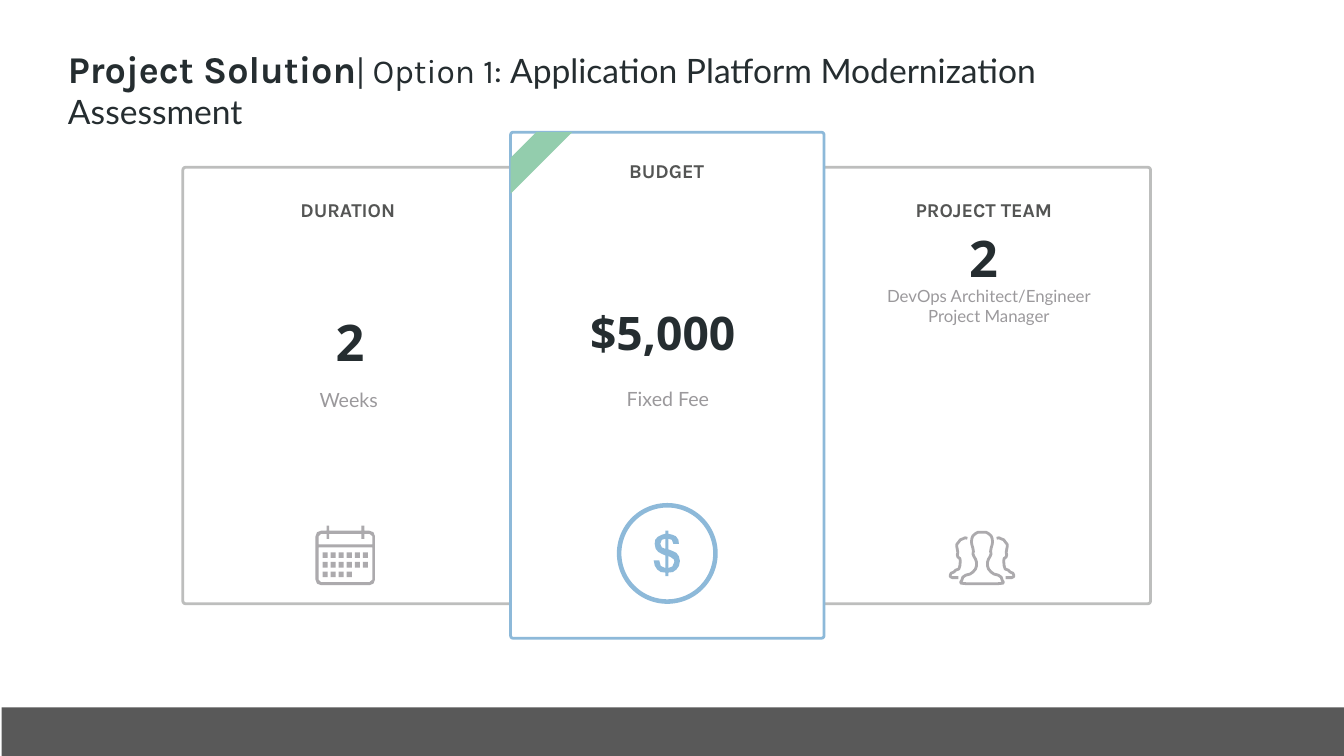
from dataclasses import dataclass

import pptx
import pptx.dml.color
import pptx.enum.shapes
import pptx.enum.text
import pptx.util

Pt = pptx.util.Pt
MSO = pptx.enum.shapes.MSO_SHAPE
ANCHOR = pptx.enum.text.MSO_ANCHOR
ALIGN = pptx.enum.text.PP_ALIGN

GRAY, BLUE, ICON, DARK = "BDBEBD", "8DB9D9", "ACAAAD", "252D30"
HEADING, CAPTION = "545554", "9B999C"
UNIT = 0.72  # icon outlines are drawn on a grid of 0.72 pt


@dataclass
class Card:
    x: float
    y: float
    w: float
    h: float
    line: str
    fill: str | None = None


@dataclass
class Label:
    text: str
    x: float
    y: float
    w: float
    h: float
    size: float
    font: str
    color: str
    bold: bool = False
    inset: tuple[float, float] = (7.2, 3.6)
    spacing: float = 1.0
    anchor: ANCHOR = ANCHOR.TOP


def rgb(value: str) -> pptx.dml.color.RGBColor:
    return pptx.dml.color.RGBColor.from_string(value)


def paint(sp, fill: str | None = None, line: str | None = None, width: float = 4) -> None:
    sp.shadow.inherit = False
    if fill:
        sp.fill.solid()
        sp.fill.fore_color.rgb = rgb(fill)
    else:
        sp.fill.background()
    if line:
        sp.line.color.rgb = rgb(line)
        sp.line.width = Pt(width)
    else:
        sp.line.fill.background()


def add_shape(s, kind, x: float, y: float, w: float, h: float, adj: float | None = None, **style):
    sp = s.shapes.add_shape(kind, Pt(x), Pt(y), Pt(w), Pt(h))
    if adj is not None:
        sp.adjustments[0] = adj
    paint(sp, **style)
    return sp


def add_outline(s, x: float, y: float, contours: list, close: bool = True, **style) -> None:
    """Draw contours given in icon units around the point x, y."""
    fb = s.shapes.build_freeform(*contours[0][0], scale=Pt(UNIT))
    for i, pts in enumerate(contours):
        if i:
            fb.move_to(*pts[0])
        fb.add_line_segments(pts[1:], close=close)
    paint(fb.convert_to_shape(Pt(x), Pt(y)), **style)


def smooth(pts: list) -> list:
    """Cut the corners of an open outline, keeping its ends."""
    cut = [(a[0] + (b[0] - a[0]) * t, a[1] + (b[1] - a[1]) * t)
           for a, b in zip(pts, pts[1:]) for t in (0.25, 0.75)]
    return [pts[0], *cut[1:-1], pts[-1]]


def mirror(pts: list) -> list:
    return [(-x, y) for x, y in pts]


def add_run(p, text: str, *, size: float, font: str, color: str, bold: bool = False) -> None:
    r = p.add_run()
    r.text = text
    r.font.size, r.font.name, r.font.bold = Pt(size), font, bold
    r.font.color.rgb = rgb(color)


def add_box(s, x: float, y: float, w: float, h: float):
    tf = s.shapes.add_textbox(Pt(x), Pt(y), Pt(w), Pt(h)).text_frame
    tf.word_wrap = True
    return tf


def add_label(s, d: Label) -> None:
    tf = add_box(s, d.x, d.y, d.w, d.h)
    tf.vertical_anchor = d.anchor
    tf.margin_left = tf.margin_right = Pt(d.inset[0])
    tf.margin_top = tf.margin_bottom = Pt(d.inset[1])
    for i, text in enumerate(d.text.split("\n")):
        p = tf.add_paragraph() if i else tf.paragraphs[0]
        p.alignment, p.line_spacing = ALIGN.CENTER, d.spacing
        add_run(p, text, size=d.size, font=d.font, color=d.color, bold=d.bold)


def heading(text: str, x: float, y: float, w: float) -> Label:
    return Label(text, x, y, w, 40.3, 28, "Karla", HEADING, True, (2.9, 2.9), anchor=ANCHOR.MIDDLE)


def figure(text: str, x: float, y: float, w: float, h: float, size: float, top: float = 2.9) -> Label:
    return Label(text, x, y, w, h, size, "Open Sans", DARK, True, (2.9, top))


def caption(text: str, x: float, y: float, w: float, h: float, size: float, spacing: float) -> Label:
    return Label(text, x, y, w, h, size, "Lato", CAPTION, spacing=spacing)


def draw_calendar(s, x: float, y: float) -> None:
    frame = [(0, 21), (3, 13), (11, 10), (22, 10), (22, 0), (27, 0), (27, 10), (91, 10), (91, 0),
             (97, 0), (97, 10), (107, 10), (115, 13), (118, 21), (118, 107), (115, 115), (107, 118),
             (11, 118), (3, 115), (0, 107)]
    header = [(6, 21), (11, 16), (22, 16), (22, 26), (27, 26), (27, 16), (91, 16), (91, 26), (97, 26),
              (97, 16), (107, 16), (113, 21), (113, 37), (6, 37)]
    page = [(6, 43), (113, 43), (113, 107), (107, 112), (11, 112), (6, 107)]
    days = [[(l, t), (l + 10, t), (l + 10, t + 11), (l, t + 11)]
            for row, count in enumerate((6, 6, 4)) for col in range(count)
            for l, t in [(14 + 16 * col, 53 + 19 * row)]]
    add_outline(s, x, y, [frame, header, page, *days], fill=ICON)


def draw_dollar(s, x: float, y: float) -> None:
    add_shape(s, MSO.OVAL, x - 68.8, y - 68.8, 137.6, 137.6, line=BLUE, width=6.5)
    sign = [(18, -1), (10, -5), (2, -8), (2, -29), (9, -27), (12, -19), (23, -19), (22, -27),
            (17, -34), (10, -37), (2, -39), (2, -45), (-4, -45), (-4, -39), (-11, -37), (-19, -33),
            (-24, -27), (-25, -19), (-23, -9), (-18, -3), (-11, 1), (-4, 4), (-4, 29),
            (-13, 25), (-16, 14), (-27, 14), (-25, 24), (-20, 32), (-13, 37), (-4, 38), (-4, 45),
            (2, 45), (2, 38), (11, 37), (18, 32), (23, 25), (25, 15), (23, 6)]
    lower = [(10, 26), (2, 29), (2, 5), (6, 7), (13, 12), (14, 17)]
    upper = [(-4, -9), (-11, -12), (-14, -19), (-11, -27), (-4, -29)]
    add_outline(s, x, y, [sign, lower, upper], fill=BLUE)


def draw_team(s, x: float, y: float) -> None:
    front = smooth([(0, 3), (-10, 3), (-20, 12), (-21, 25), (-17, 38), (-18, 49), (-11, 58), (-11, 74),
                    (-20, 84), (-36, 90), (-42, 100), (-42, 105), (0, 105)])
    back = smooth([(-29, 15), (-36, 14), (-45, 20), (-51, 29), (-48, 40), (-49, 51), (-43, 56),
                   (-44, 74), (-54, 80), (-63, 86), (-63, 93), (-47, 93)])
    add_outline(s, x, y, [front + mirror(front)[-2::-1], back, mirror(back)], close=False, line=ICON)


def main() -> None:
    prs = pptx.Presentation()
    prs.slide_width, prs.slide_height = Pt(1920), Pt(1080)
    s = prs.slides.add_slide(prs.slide_layouts[6])

    # Footer band
    add_shape(s, MSO.RECTANGLE, 2.2, 1010.7, 1917.6, 69.3, fill="595959")

    # Cards: the middle one lies over its neighbours
    budget = Card(729.4, 188.9, 447.8, 722.9, BLUE, "FFFFFF")
    for c in (Card(1170.4, 239, 473.2, 623.5, GRAY), Card(261.2, 239, 473.2, 623.5, GRAY), budget):
        add_shape(s, MSO.ROUNDED_RECTANGLE, c.x, c.y, c.w, c.h, adj=0.008, fill=c.fill, line=c.line)
    add_shape(s, MSO.DIAGONAL_STRIPE, budget.x, budget.y, 87.8, 87.8, adj=0.416, fill="93CDAD")

    # Card texts
    for label in (
        heading("DURATION", 272.9, 279.4, 447.8),
        figure("2", 326.9, 442.1, 346.3, 92.2, 72),
        caption("Weeks", 315.2, 533.5, 365.8, 103, 28, 1.5),
        heading("BUDGET", 733, 223.2, 438.5),
        figure("$5,000", 767.5, 417.6, 358.6, 140.4, 66, top=17),
        caption("Fixed Fee", 728.4, 532.1, 451.4, 51.8, 28, 1.5),
        heading("PROJECT TEAM", 1181.5, 279.4, 447.8),
        figure("2", 1231.9, 321.1, 346.3, 92.2, 72),
        caption("DevOps Architect/Engineer\nProject Manager", 1181.5, 404.6, 462.2, 65.5, 24, 1),
    ):
        add_label(s, label)

    # Icons
    draw_calendar(s, 450.7, 751)
    draw_dollar(s, 953.3, 790.6)
    draw_team(s, 1402.9, 758.2)

    # Title
    p = add_box(s, 90, 61.9, 1561.7, 72.7).paragraphs[0]
    for text, size, font, bold in (
        ("Project Solution", 54, "Karla", True),
        ("|", 48, "Lato", False),
        (" Option 1: ", 48, "Karla", False),
        ("Application Platform Modernization Assessment", 48, "Lato", False),
    ):
        add_run(p, text, size=size, font=font, color=DARK, bold=bold)

    prs.save("out.pptx")


if __name__ == "__main__":
    main()
